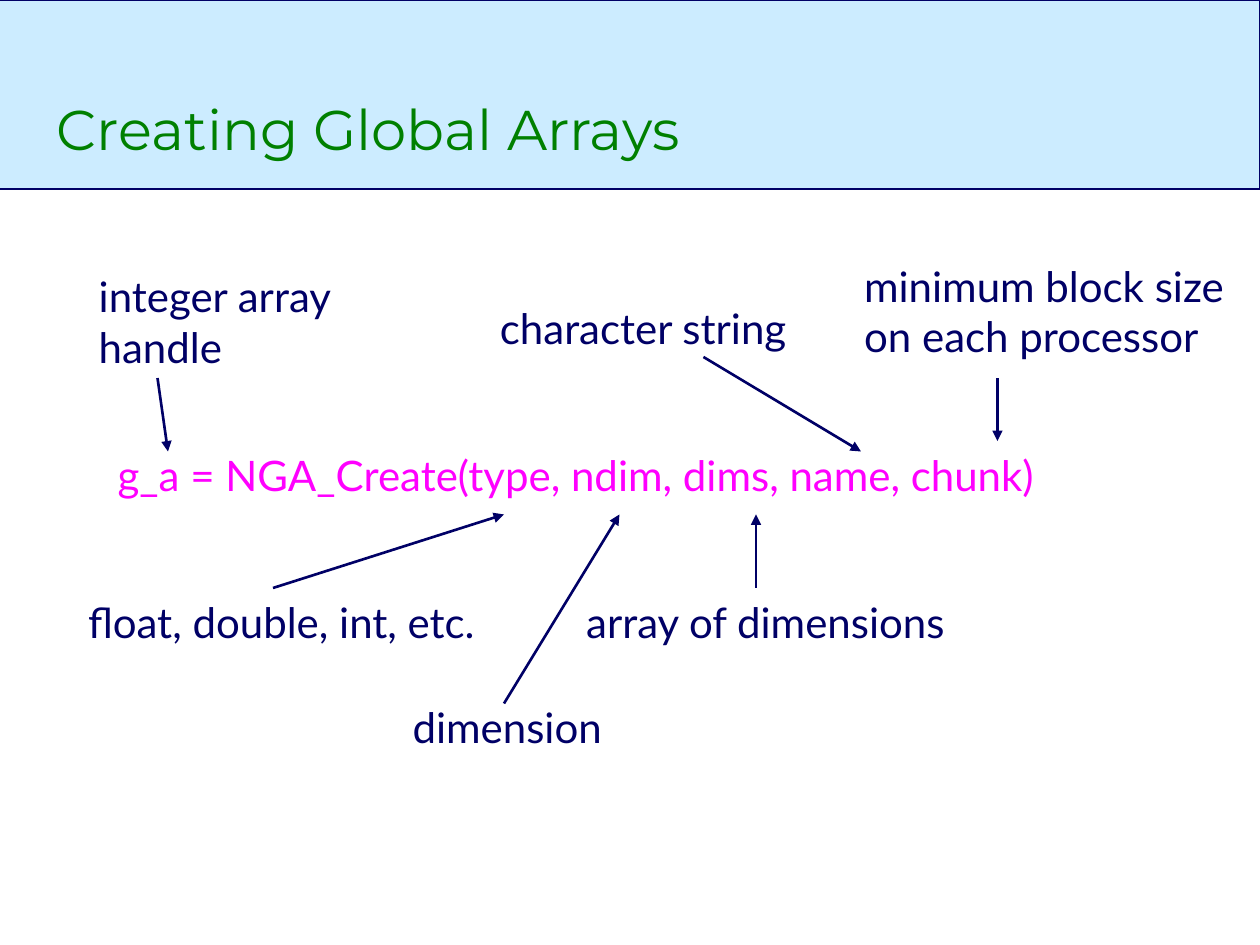
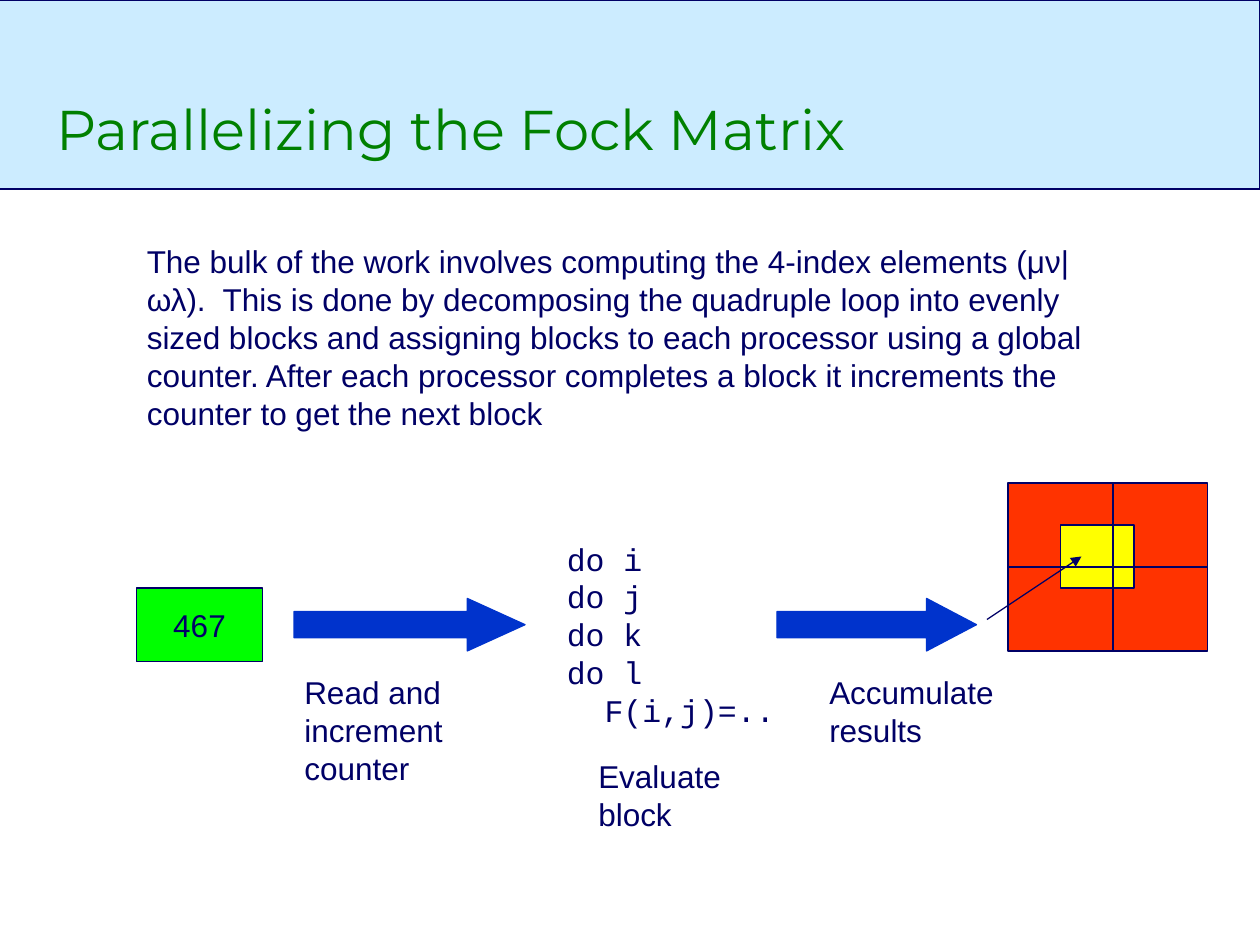
from lxml import etree
from pptx import Presentation
from pptx.dml.color import RGBColor
from pptx.enum.shapes import MSO_CONNECTOR, MSO_SHAPE
from pptx.enum.text import MSO_ANCHOR, PP_ALIGN
from pptx.oxml.ns import qn
from pptx.util import Inches, Pt

RECTANGLE = MSO_SHAPE.RECTANGLE
RIGHT_ARROW = MSO_SHAPE.RIGHT_ARROW
STRAIGHT = MSO_CONNECTOR.STRAIGHT
LEFT, CENTER = PP_ALIGN.LEFT, PP_ALIGN.CENTER
TOP, MIDDLE, BOTTOM = MSO_ANCHOR.TOP, MSO_ANCHOR.MIDDLE, MSO_ANCHOR.BOTTOM

COLORS = {
    "band": "CCECFF", "navy": "000066", "title": "008000", "call": "FF00FF",
    "counter": "00FF00", "flow": "0033CC", "matrix": "FF3300", "block": "FFFF00",
}

# The slide is a grid of 120 columns by 90 rows
COLUMNS, ROWS = 120, 90
CELL = Inches(10) / COLUMNS

presentation = Presentation()
presentation.slide_width = int(COLUMNS * CELL)
presentation.slide_height = int(ROWS * CELL)


def write_text(shape, lines, font, size, color="navy", align=LEFT, anchor=TOP,
               inset=(0.1, 0.05)):
    frame = shape.text_frame
    frame.word_wrap = True
    frame.vertical_anchor = anchor
    frame.margin_left = frame.margin_right = Inches(inset[0])
    frame.margin_top = frame.margin_bottom = Inches(inset[1])
    for index, line in enumerate(lines):
        paragraph = frame.add_paragraph() if index else frame.paragraphs[0]
        paragraph.alignment = align
        run = paragraph.add_run()
        run.text = line
        run.font.name = font
        run.font.size = Pt(size)
        run.font.color.rgb = RGBColor.from_string(COLORS[color])


def add_line(slide, ends, weight, arrow=True):
    connector = slide.shapes.add_connector(STRAIGHT, *[round(end * CELL) for end in ends])
    connector.line.color.rgb = RGBColor.from_string(COLORS["navy"])
    connector.line.width = Pt(weight)
    if arrow:
        etree.SubElement(connector.line._get_or_add_ln(), qn("a:tailEnd"), type="triangle")
    etree.SubElement(connector._element.spPr, qn("a:effectLst"))
    return connector


# Filled shapes: name, preset, left, top, width, height, fill, line, weight
band = ("band", RECTANGLE, -0.4, 0, 120.4, 18, "band", "navy", 1.5)
fock_shapes = [
    ("counter", RECTANGLE, 13, 56, 12, 7, "counter", "navy", 0.75),
    ("read arrow", RIGHT_ARROW, 28, 57, 22, 5, "flow", "flow", 0.75),
    ("accumulate arrow", RIGHT_ARROW, 74, 57, 19, 5, "flow", "flow", 0.75),
    ("matrix", RECTANGLE, 96, 46, 19, 16, "matrix", "navy", 0.75),
    ("block", RECTANGLE, 101, 50, 7, 6, "block", "navy", 0.75),
]
outline = [("Creating Global Arrays", [band]),
           ("Parallelizing the Fock Matrix", [band] + fock_shapes)]

# Both slides: band, title and filled shapes
slides, named_shapes = [], {}
for title, filled_shapes in outline:
    slide = presentation.slides.add_slide(presentation.slide_layouts[6])
    slides.append(slide)
    for name, preset, *box, fill, line, weight in filled_shapes:
        shape = slide.shapes.add_shape(preset, *[round(length * CELL) for length in box])
        shape.shadow.inherit = False
        shape.fill.solid()
        shape.fill.fore_color.rgb = RGBColor.from_string(COLORS[fill])
        shape.line.color.rgb = RGBColor.from_string(COLORS[line])
        shape.line.width = Pt(weight)
        named_shapes[name] = shape
    title_box = slide.shapes.add_textbox(*[round(length * CELL) for length in (4.2, 3, 99.7, 13)])
    write_text(title_box, [title], "Montserrat", 32, "title", anchor=BOTTOM)

arrays_slide, fock_slide = slides

# Arrays slide: the call and the labels of its parts
call_texts = [
    ((8.8, 41, 98.4, 8.4), "g_a = NGA_Create(type, ndim, dims, name, chunk)", "call", LEFT),
    ((4.6, 55, 44.4, 8.4), "float, double, int, etc.", "navy", CENTER),
    ((36, 65, 24.6, 8.4), "dimension", "navy", CENTER),
    ((51.8, 55, 42.2, 8.4), "array of dimensions", "navy", CENTER),
    ((43.9, 27, 34.7, 8.4), "character string", "navy", CENTER),
    ((79.9, 23, 40.1, 18), "minimum block size on each processor", "navy", LEFT),
    ((7, 24, 31.4, 13.2), "integer array handle", "navy", LEFT),
]
for box, text, color, align in call_texts:
    text_box = arrays_slide.shapes.add_textbox(*[round(length * CELL) for length in box])
    write_text(text_box, [text], "Lato", 24, color, align, inset=(0.2, 0.15))

# Arrays slide: arrows from the labels to the call
for ends in [(26, 56, 48, 49), (48, 67, 59, 49), (72, 56, 72, 49),
             (67, 34, 82, 43), (95, 36, 95, 42), (15, 36, 16, 43)]:
    add_line(arrays_slide, ends, 1.5)

# Fock slide: counter value and arrow heads
write_text(named_shapes["counter"], ["467"], "Arial", 18, align=CENTER, anchor=MIDDLE)
for name, head_length in [("read arrow", 1.1), ("accumulate arrow", 0.95)]:
    named_shapes[name].adjustments[0] = 0.5
    named_shapes[name].adjustments[1] = head_length

# Fock slide: explanation, step labels and loop code
explanation = (
    "The bulk of the work involves computing the 4-index elements (μν|ωλ).  "
    "This is done by decomposing the quadruple loop into evenly sized blocks and "
    "assigning blocks to each processor using a global counter. After each processor "
    "completes a block it increments the counter to get the next block"
)
loop_code = ["do i", "do j", "do k", "do l", "  F(i,j)=.."]
fock_texts = [
    ((12.8, 22.5, 95.2, 19.2), [explanation], "Arial"),
    ((27.8, 63.5, 16.2, 12), ["Read and increment counter"], "Arial"),
    ((52.8, 50.8, 24, 19.2), loop_code, "Courier New"),
    ((55.8, 71.5, 18, 8.4), ["Evaluate", "block"], "Arial"),
    ((77.8, 63.5, 18.2, 8.4), ["Accumulate results"], "Arial"),
]
for box, lines, font in fock_texts:
    text_box = fock_slide.shapes.add_textbox(*[round(length * CELL) for length in box])
    write_text(text_box, lines, font, 18)

# Fock slide: arrow into the block and the lines dividing the matrix
add_line(fock_slide, (94, 59, 103, 53), 0.75)
row_divider = add_line(fock_slide, (96, 54, 115, 54), 0.75, arrow=False)
row_divider.begin_connect(named_shapes["matrix"], 1)
row_divider.end_connect(named_shapes["matrix"], 3)
add_line(fock_slide, (106, 46, 106, 62), 0.75, arrow=False)

presentation.save("out.pptx")
